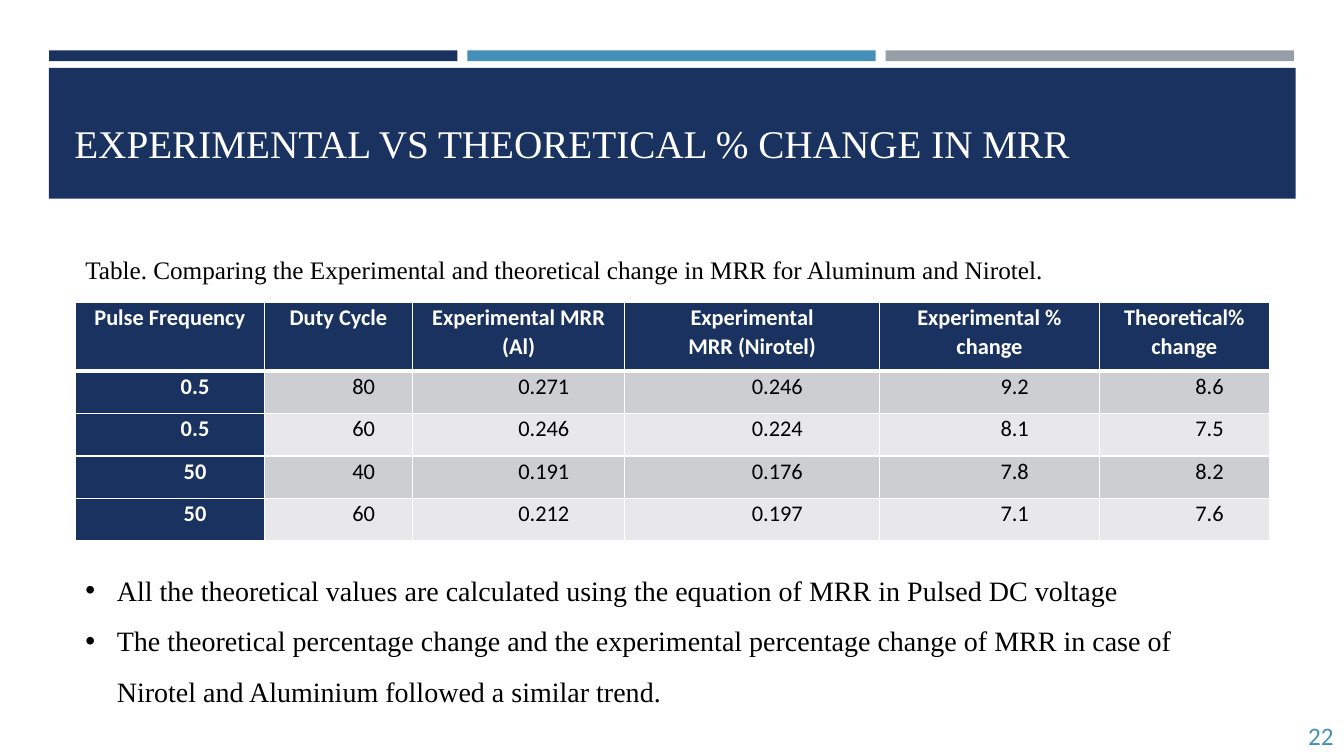
"""Build the slide that compares experimental and theoretical change in MRR."""
from lxml.etree import SubElement
from pptx import Presentation
from pptx.dml.color import RGBColor
from pptx.enum.shapes import MSO_SHAPE
from pptx.enum.text import MSO_ANCHOR, MSO_AUTO_SIZE, PP_ALIGN
from pptx.oxml.ns import qn
from pptx.util import Cm, Pt

HUES = {
    "navy": "1A3260", "blue": "4590B8", "gray": "969FA7", "white": "FFFFFF",
    "black": "000000", "dark": "CDCED2", "light": "E8E8EA",
}
SERIF = "Times New Roman"
SANS = "Calibri"


def style(para, face, size, hue, align=PP_ALIGN.LEFT, bold=False):
    para.alignment = align
    para.font.name = face
    para.font.size = Pt(size)
    para.font.bold = bold
    para.font.color.rgb = RGBColor.from_string(HUES[hue])


def place(shape, left, top, width, height):
    shape.left, shape.top = Cm(left), Cm(top)
    shape.width, shape.height = Cm(width), Cm(height)


deck = Presentation()
deck.slide_width, deck.slide_height = Cm(33.87), Cm(19.05)
slide = deck.slides.add_slide(deck.slide_layouts[1])
shapes = slide.shapes
title, body = slide.placeholders

bars = [(1.24 + 10.54 * i, 1.27, 10.29, 0.27, hue)
        for i, hue in enumerate(["navy", "blue", "gray"])]
bars.append((1.23, 1.71, 31.42, 3.3, "navy"))
for *area, hue in bars:
    bar = shapes.add_shape(MSO_SHAPE.RECTANGLE, 0, 0, 0, 0)
    place(bar, *area)
    bar.shadow.inherit = False
    bar.fill.solid()
    bar.fill.fore_color.rgb = RGBColor.from_string(HUES[hue])
    bar.line.fill.background()
    title.element.addprevious(bar.element)

place(title, 1.62, 1.49, 30.63, 2.82)
title.text = "EXPERIMENTAL VS THEORETICAL % CHANGE IN MRR"
title.text_frame.vertical_anchor = MSO_ANCHOR.BOTTOM
title.text_frame.auto_size = MSO_AUTO_SIZE.NONE
style(title.text_frame.paragraphs[0], SERIF, 28, "white")

labels = [
    ((1.9, 6.29, 25.02, 1.02), SERIF, "black", PP_ALIGN.LEFT,
     "Table. Comparing the Experimental and theoretical change in MRR for Aluminum and Nirotel."),
    ((30.94, 18.03, 2.92, 1.02), SANS, "blue", PP_ALIGN.RIGHT, "22"),
]
for area, face, hue, align, words in labels:
    label = shapes.add_textbox(0, 0, 0, 0)
    place(label, *area)
    frame = label.text_frame
    frame.text = words
    frame.word_wrap = True
    frame.vertical_anchor = MSO_ANCHOR.MIDDLE
    style(frame.paragraphs[0], face, 18, hue, align)

rows = [
    ["Pulse Frequency", "Duty Cycle", "Experimental MRR (Al)",
     "Experimental\nMRR (Nirotel)", "Experimental % change", "Theoretical% change"],
    ["0.5", "80", "0.271", "0.246", "9.2", "8.6"],
    ["0.5", "60", "0.246", "0.224", "8.1", "7.5"],
    ["50", "40", "0.191", "0.176", "7.8", "8.2"],
    ["50", "60", "0.212", "0.197", "7.1", "7.6"],
]
widths = [4.76, 3.74, 5.34, 6.43, 5.53, 4.29]
table = shapes.add_table(len(rows), len(widths), Cm(1.9), Cm(7.62),
                         Cm(sum(widths)), Cm(6.01)).table
for col, width in zip(table.columns, widths):
    col.width = Cm(width)

for r, row in enumerate(rows):
    table.rows[r].height = Cm(1.07 if r else 1.73)
    for c, words in enumerate(row):
        cell = table.cell(r, c)
        cell.text = words
        cell.margin_left = cell.margin_right = Cm(0.18)
        cell.margin_top = cell.margin_bottom = 0
        head = r == 0 or c == 0
        for side in "LRTB":
            thick = (r, side) in [(0, "B"), (1, "T")]
            edge = SubElement(cell._tc.get_or_add_tcPr(), qn(f"a:ln{side}"),
                              w=str(Pt(3 if thick else 1)))
            paint = SubElement(edge, qn("a:solidFill"))
            SubElement(paint, qn("a:srgbClr"), val=HUES["white"])
        cell.fill.solid()
        fill = "navy" if head else "dark" if r % 2 else "light"
        cell.fill.fore_color.rgb = RGBColor.from_string(HUES[fill])
        for para in cell.text_frame.paragraphs:
            para.line_spacing = 1.07
            if r:
                para._p.get_or_add_pPr().set("marL", str(Cm(1.27)))
            if c == len(widths) - 1:
                para.space_after = Pt(8)
            style(para, SANS, 16, "white" if head else "black", PP_ALIGN.CENTER, head)

place(body, 1.9, 13.9, 30.07, 3.96)
frame = body.text_frame
frame.text = "\n".join([
    "All the theoretical values are calculated using the equation of MRR in Pulsed DC voltage",
    "The theoretical percentage change and the experimental percentage change of MRR "
    "in case of Nirotel and Aluminium followed a similar trend.",
])
frame.auto_size = MSO_AUTO_SIZE.NONE
for para in frame.paragraphs:
    props = para._p.get_or_add_pPr()
    props.set("marL", str(Cm(0.79)))
    props.set("indent", str(Cm(-0.79)))
    para.line_spacing = 1.5
    para.space_before = Pt(0)
    SubElement(props, qn("a:buChar"), char="•")
    style(para, SERIF, 20, "black")

deck.save("out.pptx")
